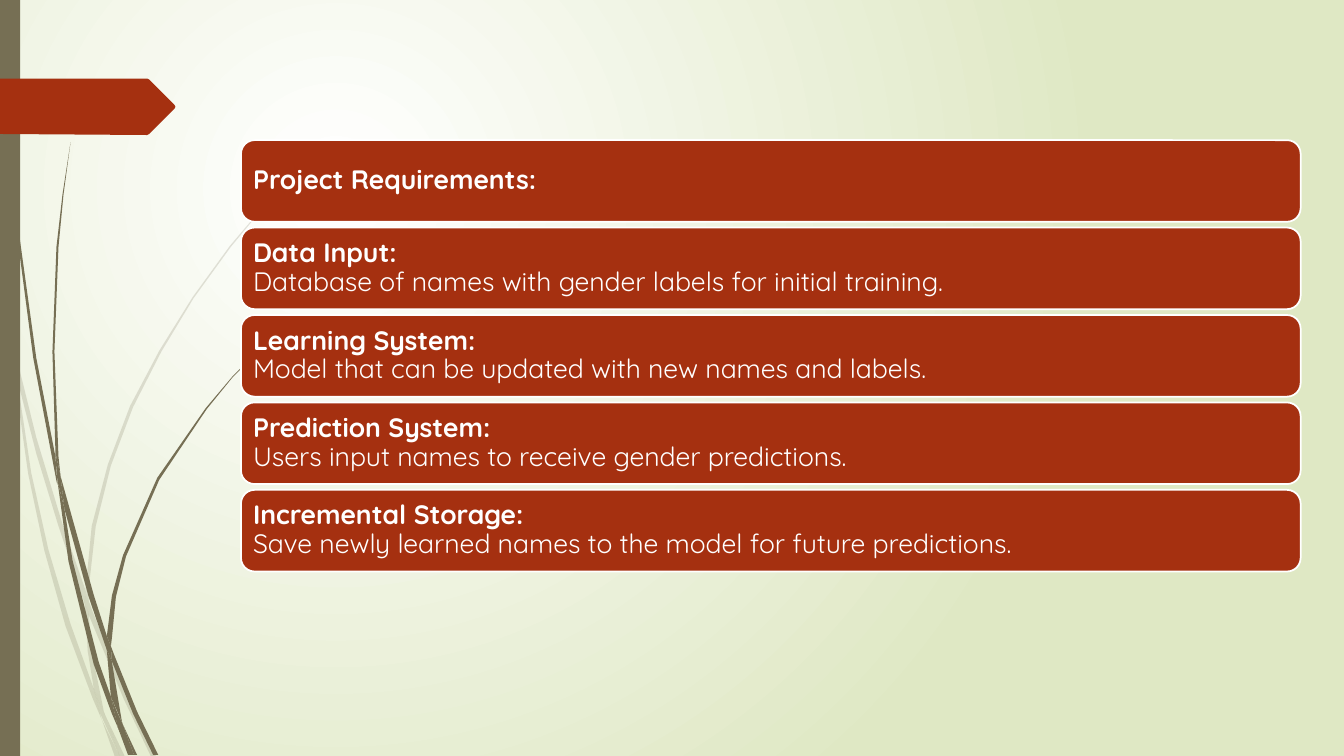
from lxml import etree
from pptx import Presentation
from pptx.dml.color import RGBColor
from pptx.enum.shapes import MSO_SHAPE
from pptx.enum.text import MSO_ANCHOR, PP_ALIGN
from pptx.oxml.ns import qn
from pptx.util import Inches, Pt

RECTANGLE, ROUNDED = MSO_SHAPE.RECTANGLE, MSO_SHAPE.ROUNDED_RECTANGLE
MIDDLE, LEFT = MSO_ANCHOR.MIDDLE, PP_ALIGN.LEFT
WHITE = RGBColor(0xFF, 0xFF, 0xFF)
PALE_GREEN = RGBColor(0xDF, 0xE8, 0xC4)
OLIVE = RGBColor(0x76, 0x6F, 0x54)
RUST = RGBColor(0xA5, 0x30, 0x10)

BAR_LEFT, BAR_WIDTH, BAR_HEIGHT = 2.39, 10.51, 0.81
FIRST_TOP, LAST_TOP = 1.39, 4.86

REQUIREMENTS = [
    ("Project Requirements:", ""),
    ("Data Input:", "Database of names with gender labels for initial training."),
    ("Learning System:", "Model that can be updated with new names and labels."),
    ("Prediction System:", "Users input names to receive gender predictions."),
    ("Incremental Storage:", "Save newly learned names to the model for future predictions."),
]

# Corners of each blade piece as x,y in inches
FAINT_GRASS = [
    "0.11,3.5 0.09,3.22 0,2.82 0,2.99 0.1,3.44",
    "0.58,5.22 0.84,5.99 0.85,5.86 0.62,5.2 0.36,4.34 0.14,3.45 0.17,3.76 0.36,4.5",
    "0.88,5.96 0.88,6.1 1.23,6.94 1.5,7.51 1.55,7.51 1.27,6.92 0.92,6.07",
    "1.19,7.51 1.24,7.51 1.05,7.11",
    "0.93,6.83 0.7,6.19 0.48,5.45 0.31,4.69 0.17,3.76 0.11,3.5 0.28,4.7 0.44,5.46 0.65,6.21 0.92,6.93 "
    "1.01,7.14 0.99,7.07",
    "0.84,5.99 0.87,6.46 0.93,6.83 0.96,6.92 1.05,7.11 1.03,7.06 0.91,6.46 0.88,6.08",
    "0.88,5.84 0.95,5.22 1.1,4.62 1.32,4.04 1.6,3.49 1.92,2.96 2.29,2.45 2.68,1.98 2.9,1.75 3.12,1.54 "
    "3.12,1.53 2.89,1.75 2.68,1.97 2.28,2.44 1.91,2.95 1.58,3.48 1.29,4.03 1.07,4.61 0.91,5.22 "
    "0.85,5.84 0.88,5.96",
    "1.01,7.14 1.14,7.51 1.19,7.51",
    "0.88,6.08 0.88,5.96 0.85,5.86 0.84,5.99",
    "0.96,6.92 0.93,6.83 0.99,7.07 1.19,7.51 1.05,7.11",
]
DARK_GRASS = [
    "0.07,1.1 0.17,2.33 0.33,3.55 0.56,4.77 0.57,4.81 0.55,4.53 0.36,3.55 0.19,2.32 0.08,1.09 0.05,0.48 "
    "0.04,0 0.03,0 0.04,0.48",
    "0.88,5.92 1.06,6.45 1.06,6.31 0.93,5.9 0.6,4.72 0.64,5.05",
    "1.1,6.41 1.11,6.56 1.32,7.08 1.52,7.49 1.57,7.49 1.36,7.06 1.13,6.49",
    "1.1,6.91 0.98,6.57 0.72,5.56 0.64,5.05 0.57,4.77 0.68,5.57 0.93,6.59 1.11,7.08 1.17,7.22 1.16,7.17",
    "0.6,4.72 0.58,4.53 0.54,3.49 0.58,2.45 0.63,1.93 0.7,1.41 0.62,1.93 0.56,2.45 0.52,3.49 0.55,4.49",
    "1.33,7.49 1.36,7.49 1.22,7.19",
    "0.57,4.77 0.64,5.05 0.6,4.72 0.55,4.49 0.55,4.53",
    "1.11,6.33 1.15,5.92 1.25,5.52 1.58,4.76 2.05,4.06 2.31,3.74 2.61,3.44 2.6,3.44 2.31,3.73 2.04,4.05 "
    "1.56,4.74 1.22,5.51 1.11,5.91 1.06,6.31 1.1,6.41",
    "1.17,7.22 1.27,7.49 1.31,7.49",
    "1.06,6.45 1.1,6.91 1.22,7.19 1.21,7.16 1.11,6.56",
    "1.06,6.45 1.11,6.56 1.1,6.41 1.06,6.31",
    "1.16,7.06 1.1,6.91 1.17,7.22 1.3,7.49 1.33,7.49 1.22,7.19",
]
ARROW = "0,0.78 1.46,0.78 1.48,0.79 1.73,1.04 1.74,1.06 1.73,1.08 1.48,1.33 1.46,1.34 0,1.33"


def paint_background(slide):
    fill = slide.background.fill
    fill.gradient()
    for stop, color, position in zip(fill.gradient_stops, (WHITE, PALE_GREEN), (0, 1)):
        stop.color.rgb, stop.position = color, position
    linear = next(slide.element.iter(qn("a:lin")))
    radial = etree.Element(qn("a:path"), {"path": "circle"})
    etree.SubElement(radial, qn("a:fillToRect"), l="50000", t="50000", r="100000", b="100000")
    linear.getparent().replace(linear, radial)


def style(shape, color):
    shape.shadow.inherit = False
    shape.fill.solid()
    shape.fill.fore_color.rgb = color
    shape.line.fill.background()


def add_outline(shapes, outline, color):
    corners = [tuple(Inches(float(value)) for value in pair.split(",")) for pair in outline.split()]
    builder = shapes.build_freeform(*corners[0])
    builder.add_line_segments(corners[1:], close=True)
    shape = builder.convert_to_shape()
    style(shape, color)
    return shape


def add_grass(slide, outlines, opacity=100):
    group = slide.shapes.add_group_shape()
    for outline in outlines:
        blade = add_outline(group.shapes, outline, OLIVE)
        if opacity < 100:
            color = next(blade.element.spPr.iter(qn("a:srgbClr")))
            etree.SubElement(color, qn("a:alpha"), val=str(opacity * 1000))


def add_requirement(slide, top, heading, detail):
    bar = slide.shapes.add_shape(ROUNDED, Inches(BAR_LEFT), Inches(top), Inches(BAR_WIDTH), Inches(BAR_HEIGHT))
    style(bar, RUST)
    bar.line.color.rgb, bar.line.width = WHITE, Pt(1.25)
    frame = bar.text_frame
    frame.word_wrap, frame.vertical_anchor = True, MIDDLE
    frame.margin_left = frame.margin_right = frame.margin_top = frame.margin_bottom = Inches(0.08)
    paragraph = frame.paragraphs[0]
    paragraph.alignment, paragraph.line_spacing = LEFT, 0.9
    font = paragraph.font
    font.name, font.size, font.color.rgb = "Quicksand", Pt(19), WHITE
    run = paragraph.add_run()
    run.text, run.font.bold = heading, True
    if detail:
        paragraph.add_line_break()
        paragraph.add_run().text = detail


def main():
    presentation = Presentation()
    presentation.slide_width, presentation.slide_height = Inches(13.33), Inches(7.5)
    slide = presentation.slides.add_slide(presentation.slide_layouts[6])
    paint_background(slide)
    # Decoration on the left
    add_grass(slide, FAINT_GRASS, opacity=20)
    add_grass(slide, DARK_GRASS)
    style(slide.shapes.add_shape(RECTANGLE, 0, 0, Inches(0.2), Inches(7.5)), OLIVE)
    add_outline(slide.shapes, ARROW, RUST)
    # Requirement bars
    pitch = (LAST_TOP - FIRST_TOP) / (len(REQUIREMENTS) - 1)
    for i, (heading, detail) in enumerate(REQUIREMENTS):
        add_requirement(slide, FIRST_TOP + i * pitch, heading, detail)
    presentation.save("out.pptx")


if __name__ == "__main__":
    main()
